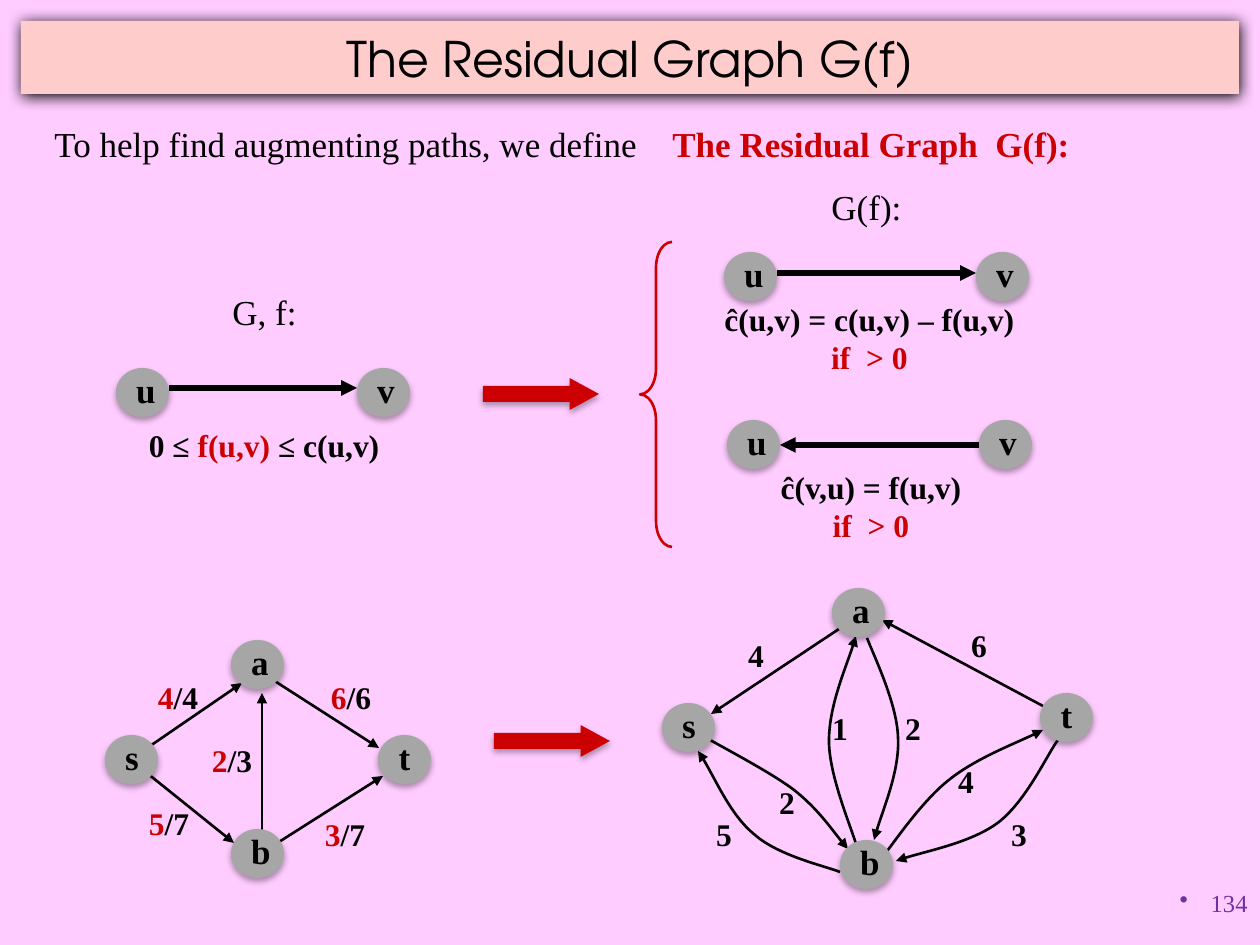
import pptx
import pptx.dml.color
import pptx.enum.shapes
import pptx.enum.text
import pptx.oxml.ns
import pptx.util
from lxml import etree

RGB = pptx.dml.color.RGBColor
SHAPE = pptx.enum.shapes.MSO_SHAPE
ALIGN = pptx.enum.text.PP_ALIGN
ANCHOR = pptx.enum.text.MSO_ANCHOR
AUTO = pptx.enum.text.MSO_AUTO_SIZE
qn = pptx.oxml.ns.qn

BACKDROP = RGB(0xFF, 0xCC, 0xFF)
BANNER = RGB(0xFF, 0xCC, 0xCC)
BLACK = RGB(0, 0, 0)
RED = RGB(0xCC, 0, 0)
GREY = RGB(0xA6, 0xA6, 0xA6)
PURPLE = RGB(0x70, 0x30, 0xA0)

SERIF = "Times New Roman"
PX = 914400 / 126
NODE_W, NODE_H = 53, 49


def px(*lengths):
    return [pptx.util.Emu(round(n * PX)) for n in lengths]


def add_runs(paragraph, runs, size, font=SERIF):
    """Add (text, colour, bold) runs; a text of None is a line break."""
    for text, colour, bold in runs:
        if text is None:
            paragraph.add_line_break()
            continue
        run = paragraph.add_run()
        run.text = text
        run.font.name, run.font.size = font, pptx.util.Pt(size)
        run.font.color.rgb, run.font.bold = colour, bold


def set_insets(frame):
    frame.margin_left, frame.margin_top = pptx.util.Inches(0.1), pptx.util.Inches(0.05)
    frame.margin_right, frame.margin_bottom = pptx.util.Inches(0.1), pptx.util.Inches(0.01)
    frame.auto_size = AUTO.SHAPE_TO_FIT_TEXT


def add_label(shapes, box, runs, size=18, align=ALIGN.CENTER, wrap=False):
    frame = shapes.add_textbox(*px(*box)).text_frame
    set_insets(frame)
    frame.word_wrap = wrap
    paragraph = frame.paragraphs[0]
    paragraph.alignment = align
    add_runs(paragraph, runs, size)
    return paragraph


def set_hanging(paragraph, indent):
    properties = paragraph._p.get_or_add_pPr()
    properties.set("marL", str(px(indent)[0]))
    properties.set("indent", str(px(-indent)[0]))
    return properties


def add_shadow(shape, alpha=32, blur=3.5, distance=2.2):
    shape.shadow.inherit = False
    effects = shape._element.spPr.find(qn("a:effectLst"))
    shadow = etree.SubElement(effects, qn("a:outerShdw"), blurRad=str(pptx.util.Pt(blur)),
                              dist=str(pptx.util.Pt(distance)), dir="5400000", rotWithShape="0")
    colour = etree.SubElement(shadow, qn("a:srgbClr"), val="000000")
    etree.SubElement(colour, qn("a:alpha"), val=str(alpha * 1000))


def style_arrow(arrow, width):
    arrow.line.color.rgb = BLACK
    arrow.line.width = pptx.util.Pt(width)
    etree.SubElement(arrow.line._get_or_add_ln(), qn("a:tailEnd"), type="triangle")


def add_arrow(shapes, start, end, width=1.5):
    arrow = shapes.add_connector(pptx.enum.shapes.MSO_CONNECTOR.STRAIGHT, *px(*start, *end))
    style_arrow(arrow, width)
    etree.SubElement(arrow._element.spPr, qn("a:effectLst"))


def add_curve(shapes, points):
    """Draw a start point followed by Bezier triples, with an arrowhead."""
    builder = shapes.build_freeform(*points[0], scale=PX)
    builder.add_line_segments(points[1:], close=False)
    curve = builder.convert_to_shape()
    segments = list(curve._element.iter(qn("a:lnTo")))
    for first in range(0, len(segments), 3):
        bezier = etree.Element(qn("a:cubicBezTo"))
        segments[first].addprevious(bezier)
        for segment in segments[first:first + 3]:
            bezier.append(segment[0])
            segment.getparent().remove(segment)
    curve.fill.background()
    curve.shadow.inherit = False
    style_arrow(curve, 1.5)


def add_solid(shapes, kind, box, colour):
    solid = shapes.add_shape(kind, *px(*box))
    solid.fill.solid()
    solid.fill.fore_color.rgb = colour
    solid.line.fill.background()
    add_shadow(solid)
    return solid


def add_node(shapes, x, y, letter):
    frame = add_solid(shapes, SHAPE.OVAL, (x, y, NODE_W, NODE_H), GREY).text_frame
    set_insets(frame)
    frame.vertical_anchor = ANCHOR.MIDDLE
    paragraph = frame.paragraphs[0]
    paragraph.alignment = ALIGN.CENTER
    paragraph.line_spacing = 0.65
    add_runs(paragraph, [(letter, BLACK, True)], 20)


def add_block_arrow(shapes, x, y):
    arrow = add_solid(shapes, SHAPE.RIGHT_ARROW, (x, y, 116, 32), RED)
    arrow.adjustments[1] = 0.917


def add_pair(shapes, x, y, gap, line_dy, caption_box, caption, backward=False):
    """Nodes u and v, the arrow between them and the caption below."""
    ends = [(x + NODE_W, y + line_dy), (x + gap, y + line_dy)]
    add_arrow(shapes, *(reversed(ends) if backward else ends), width=3)
    add_node(shapes, x, y, "u")
    add_node(shapes, x + gap, y, "v")
    dx, dy, width, height = caption_box
    add_label(shapes, (x + dx, y + dy, width, height), caption)


def add_network(shapes, x, y, nodes, edges, labels, label_w):
    for points in edges:
        placed = [(x + dx, y + dy) for dx, dy in points]
        if len(placed) == 2:
            add_arrow(shapes, *placed)
        else:
            add_curve(shapes, placed)
    for letter, dx, dy in nodes:
        add_node(shapes, x + dx, y + dy, letter)
    for flow, rest, dx, dy in labels:
        runs = [(flow, RED, True), (rest, BLACK, True)] if flow else [(rest, BLACK, True)]
        add_label(shapes, (x + dx, y + dy, label_w, 45), runs)


def add_title(slide, box):
    title = slide.shapes.title
    title.left, title.top, title.width, title.height = px(*box)
    title.fill.solid()
    title.fill.fore_color.rgb = BANNER
    add_shadow(title, 100, 8.5, 1)
    title.text_frame.vertical_anchor = ANCHOR.MIDDLE
    paragraph = title.text_frame.paragraphs[0]
    paragraph.alignment = ALIGN.CENTER
    add_runs(paragraph, [("The Residual Graph G(f)", BLACK, False)], 28, "TeX Gyre Adventor")


def add_definition(shapes):
    add_pair(shapes, 116, 368, 241, 20, (20, 52, 256, 45),
             [("0 ≤ ", BLACK, True), ("f(u,v) ", RED, True), ("≤ c(u,v)", BLACK, True)])
    condition = [(None, None, None), ("if  > 0", RED, True)]
    add_pair(shapes, 724, 252, 252, 21, (-12, 42, 315, 83),
             [("ĉ(u,v) = c(u,v) – f(u,v)", BLACK, True)] + condition)
    add_pair(shapes, 727, 420, 252, 25, (40, 42, 208, 83),
             [("ĉ(v,u) = f(u,v)", BLACK, True)] + condition, backward=True)
    for box, heading in [((220, 284, 90, 50), "G, f:"), ((819, 179, 96, 50), "G(f):")]:
        add_label(shapes, box, [(heading, BLACK, False)], 20, ALIGN.LEFT)
    add_block_arrow(shapes, 483, 378)
    brace = shapes.add_shape(SHAPE.LEFT_BRACE, *px(640, 242, 32, 305))
    brace.adjustments[0] = 0.806
    brace.fill.background()
    brace.line.color.rgb, brace.line.width = RED, pptx.util.Pt(1.5)
    brace.shadow.inherit = False


FLOW_NODES = [("b", 126, 189), ("s", 0, 95), ("a", 126, 0), ("t", 273, 95)]
FLOW_EDGES = [[(157, 210), (157, 53)], [(29, 117), (137, 43)], [(27, 121), (129, 203)],
              [(165, 38), (274, 108)], [(155, 214), (278, 136)]]
FLOW_LABELS = [("4", "/4", 40, 32), ("3", "/7", 207, 169), ("6", "/6", 213, 32),
               ("5", "/7", 31, 158), ("2", "/3", 94, 95)]

RESIDUAL_NODES = [("b", 178, 252), ("s", 0, 115), ("a", 170, 0), ("t", 378, 105)]
RESIDUAL_EDGES = [
    [(195, 259), (190, 241), (167, 188), (167, 153), (167, 118), (188, 70), (194, 48)],
    [(177, 41), (49, 126)],
    [(36, 145), (52, 155), (107, 183), (132, 202), (156, 221), (175, 249), (186, 261)],
    [(381, 118), (220, 32)],
    [(220, 270), (231, 256), (260, 213), (287, 192), (313, 171), (362, 152), (381, 142)],
    [(178, 284), (163, 278), (117, 268), (93, 247), (69, 228), (49, 181), (36, 163)],
    [(396, 152), (386, 165), (365, 212), (337, 234), (311, 254), (255, 265), (234, 273)],
    [(205, 50), (211, 66), (235, 115), (236, 149), (238, 182), (217, 231), (212, 252)]]
RESIDUAL_LABELS = [("", "4", 73, 42), ("", "4", 283, 168), ("", "6", 296, 32), ("", "2", 104, 189),
                   ("", "1", 157, 115), ("", "2", 230, 115), ("", "5", 41, 221), ("", "3", 336, 221)]


def add_page_number(shapes, box):
    frame = shapes.add_textbox(*px(*box)).text_frame
    frame.word_wrap = True
    paragraph = frame.paragraphs[0]
    paragraph.alignment = ALIGN.RIGHT
    etree.SubElement(set_hanging(paragraph, 31), qn("a:buChar"), char="•")
    add_runs(paragraph, [("134", PURPLE, False)], 14)


def main():
    deck = pptx.Presentation()
    deck.slide_width, deck.slide_height = px(1260, 945)
    slide = deck.slides.add_slide(deck.slide_layouts[5])
    slide.background.fill.solid()
    slide.background.fill.fore_color.rgb = BACKDROP

    # Heading and opening sentence
    add_title(slide, (21, 21, 1218, 73))
    opening = add_label(slide.shapes, (42, 116, 1113, 50),
                        [("To help find augmenting paths, we define    ", BLACK, False),
                         ("The Residual Graph  G(f):", RED, True)], 20, ALIGN.LEFT, wrap=True)
    set_hanging(opening, 40)

    # Definition above, worked example below
    add_definition(slide.shapes.add_group_shape().shapes)
    example = slide.shapes.add_group_shape().shapes
    add_network(example, 105, 640, FLOW_NODES, FLOW_EDGES, FLOW_LABELS, 66)
    add_network(example, 662, 588, RESIDUAL_NODES, RESIDUAL_EDGES, RESIDUAL_LABELS, 42)
    add_block_arrow(example, 494, 725)

    add_page_number(slide.shapes, (998, 882, 262, 63))
    deck.save("out.pptx")


if __name__ == "__main__":
    main()
